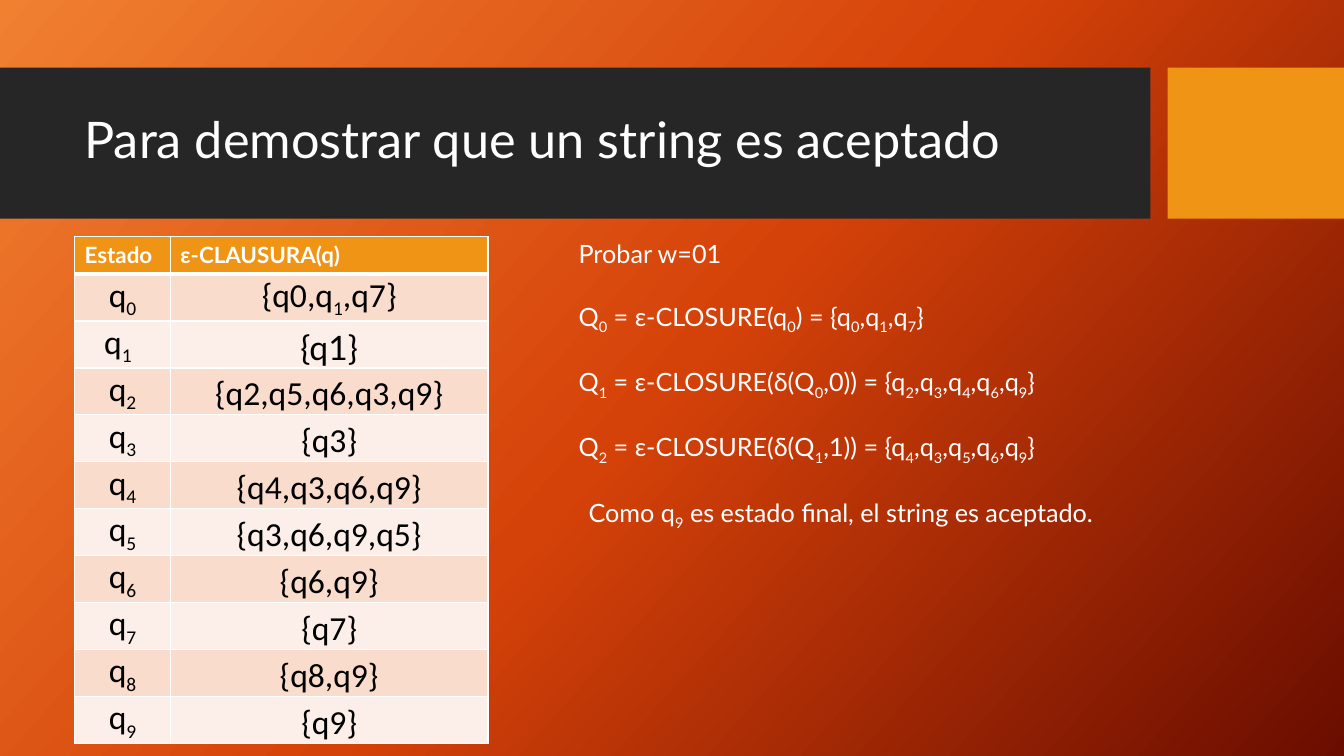
import copy

import pptx
import pptx.dml.color
import pptx.enum.shapes
import pptx.enum.text
import pptx.oxml
import pptx.oxml.ns
import pptx.util

Inches = pptx.util.Inches
Pt = pptx.util.Pt
ANCHOR = pptx.enum.text.MSO_ANCHOR

COLORS = {
    "white": "FFFFFF", "black": "000000", "band": "262626", "accent": "F09415",
    "odd": "F9DCCC", "even": "FCEEE8",
    "bg_start": "F18031", "bg_mid": "D54209", "bg_end": "6A0D00",
}
HEADERS = ["Estado", "ε-CLAUSURA(q)"]
CLOSURES = [
    "{q0,q_1,q7}", "{q1}", "{q2,q5,q6,q3,q9}", "{q3}", "{q4,q3,q6,q9}",
    "{q3,q6,q9,q5}", "{q6,q9}", "{q7}", "{q8,q9}", "{q9}",
]
STEPS = [
    "Q_0 = ε-CLOSURE(q_0) = {q_0,q_1,q_7}",
    "Q_1 = ε-CLOSURE(δ(Q_0,0)) = {q_2,q_3,q_4,q_6,q_9}",
    "Q_2 = ε-CLOSURE(δ(Q_1,1)) = {q_4,q_3,q_5,q_6,q_9}",
]


def rgb(name):
    """Return the named palette colour."""
    return pptx.dml.color.RGBColor.from_string(COLORS[name])


def add_run(p, text, size, color, font, bold, subscript=False):
    """Add one formatted run to a paragraph."""
    r = p.add_run()
    r.text = text
    r.font.size = Pt(size)
    r.font.name = font
    r.font.bold = bold
    r.font.color.rgb = rgb(color)
    if subscript:
        r.font._element.set("baseline", "-25000")


def write(p, text, size=18, color="white", font="Lato", bold=False):
    """Write text, lowering each character that follows an underscore."""
    first, *parts = text.split("_")
    add_run(p, first, size, color, font, bold)
    for part in parts:
        add_run(p, part[0], size, color, font, bold, subscript=True)
        if part[1:]:
            add_run(p, part[1:], size, color, font, bold)


def add_text(s, box, lines, size=18, gap=0, anchor=ANCHOR.TOP, spacing=None):
    """Add a wrapped text box with one paragraph per line."""
    tf = s.shapes.add_textbox(*map(Inches, box)).text_frame
    tf.word_wrap = True
    tf.vertical_anchor = anchor
    for i, line in enumerate(lines):
        p = tf.add_paragraph() if i else tf.paragraphs[0]
        p.space_before = Pt(gap if i else 0)
        p.line_spacing = spacing
        write(p, line, size)


def add_background(s):
    """Fill the background with a three-stop diagonal gradient."""
    fill = s.background.fill
    fill.gradient()
    fill.gradient_angle = 360 - 42
    stops = s.element.find(".//" + pptx.oxml.ns.qn("a:gsLst"))
    stops.append(copy.deepcopy(stops[-1]))
    names = ["bg_start", "bg_mid", "bg_end"]
    for i, (stop, name) in enumerate(zip(fill.gradient_stops, names)):
        stop.position = i / 2
        stop.color.rgb = rgb(name)


def add_title_band(s, left, top, width, height, title):
    """Draw the dark title band and the accent block at its right."""
    gap, block = 0.17, 1.75
    band = width - gap - block
    for x, w, color in [(left, band, "band"), (left + band + gap, block, "accent")]:
        sp = s.shapes.add_shape(
            pptx.enum.shapes.MSO_SHAPE.RECTANGLE, *map(Inches, (x, top, w, height)))
        sp.shadow.inherit = False
        sp.fill.solid()
        sp.fill.fore_color.rgb = rgb(color)
        sp.line.fill.background()
    add_text(s, (left + 0.74, top + 0.15, band - 0.9, 1.18), [title],
             size=36, anchor=ANCHOR.MIDDLE, spacing=0.9)


def style_cell(cell, color, top=1, bottom=1):
    """Give a cell its fill and white borders."""
    cell.fill.solid()
    cell.fill.fore_color.rgb = rgb(color)
    tcPr = cell._tc.get_or_add_tcPr()
    borders = [("lnL", 1), ("lnR", 1), ("lnT", top), ("lnB", bottom)]
    for i, (tag, width) in enumerate(borders):
        tcPr.insert(i, pptx.oxml.parse_xml(
            f'<a:{tag} {pptx.oxml.ns.nsdecls("a")} w="{Pt(width)}"><a:solidFill>'
            f'<a:srgbClr val="{COLORS["white"]}"/></a:solidFill></a:{tag}>'))


def add_closure_table(s, left, top, width, height):
    """Build the table that lists the closure of each state."""
    rows = len(CLOSURES) + 1
    table = s.shapes.add_table(
        rows, 2, *map(Inches, (left, top, width, height))).table
    header = 0.37
    table.columns[0].width = Inches(0.95)
    table.columns[1].width = Inches(width - 0.95)
    for i, row in enumerate(table.rows):
        row.height = Inches((height - header) / (rows - 1) if i else header)
    for cell, text in zip(table.rows[0].cells, HEADERS):
        style_cell(cell, "accent", bottom=3)
        write(cell.text_frame.paragraphs[0], text, 16, bold=True)
    for i, closure in enumerate(CLOSURES):
        for cell, text in zip(table.rows[i + 1].cells, [f"q_{i}", closure]):
            style_cell(cell, "even" if i % 2 else "odd", top=1 if i else 3)
            cell.vertical_anchor = ANCHOR.BOTTOM
            cell.margin_left = cell.margin_right = cell.margin_top = Inches(0.01)
            cell.margin_bottom = 0
            p = cell.text_frame.paragraphs[0]
            p.alignment = pptx.enum.text.PP_ALIGN.CENTER
            font = "Lato" if text == "{q1}" else "Calibri"
            write(p, text, 24, "black", font)
    table.cell(2, 0).margin_right = Inches(0.1)


def add_proof(s, left, top, width):
    """Write the input string, the derivation steps and the conclusion."""
    add_text(s, (left, top, 2.38, 0.4), ["Probar w=01"])
    add_text(s, (left, top + 0.62, width, 1.92), STEPS, gap=22)
    add_text(s, (left + 0.1, top + 2.56, 5.5, 0.4),
             ["Como q_9 es estado final, el string es aceptado."])


def main():
    """Build the slide and save it."""
    prs = pptx.Presentation()
    prs.slide_width, prs.slide_height = Inches(13.33), Inches(7.5)
    s = prs.slides.add_slide(prs.slide_layouts[6])
    add_background(s)
    add_title_band(s, 0, 0.67, 13.33, 1.5, "Para demostrar que un string es aceptado")
    add_closure_table(s, 0.74, 2.35, 4.1, 5)
    add_proof(s, 5.64, 2.32, 6.69)
    prs.save("out.pptx")


if __name__ == "__main__":
    main()
